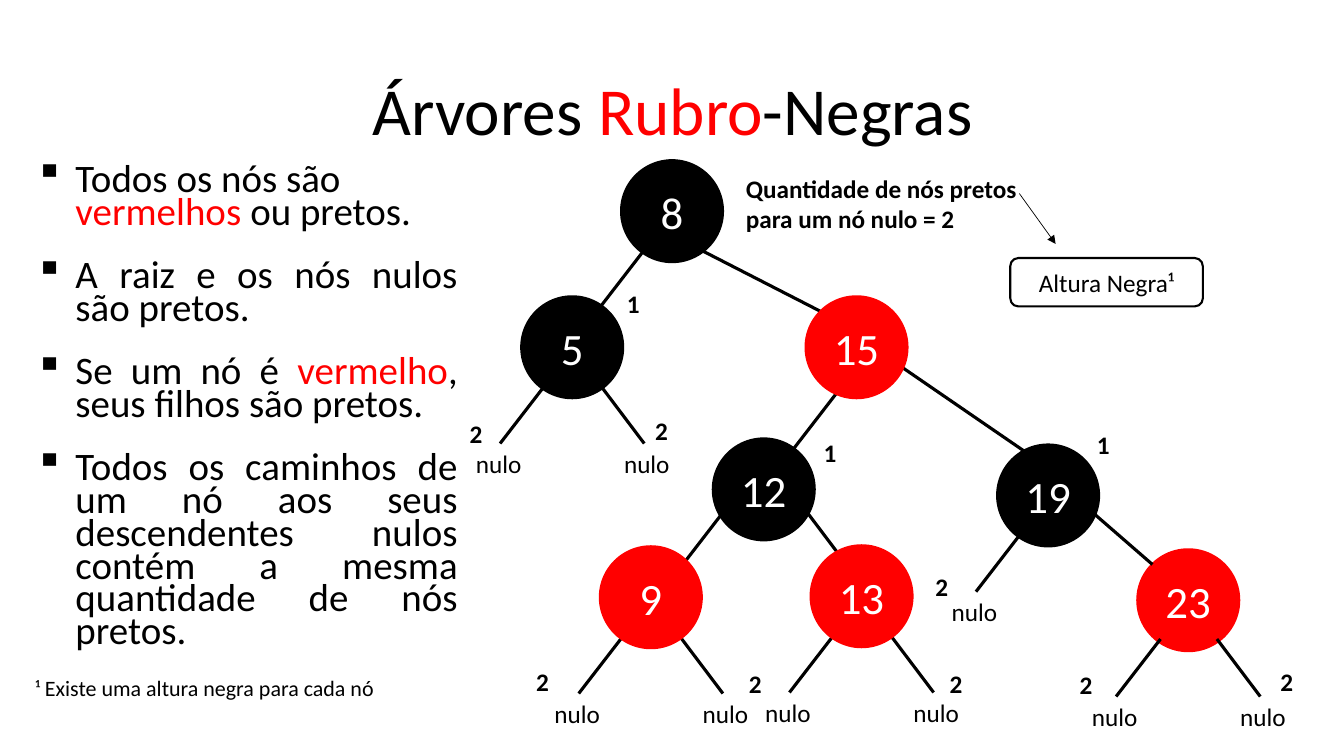
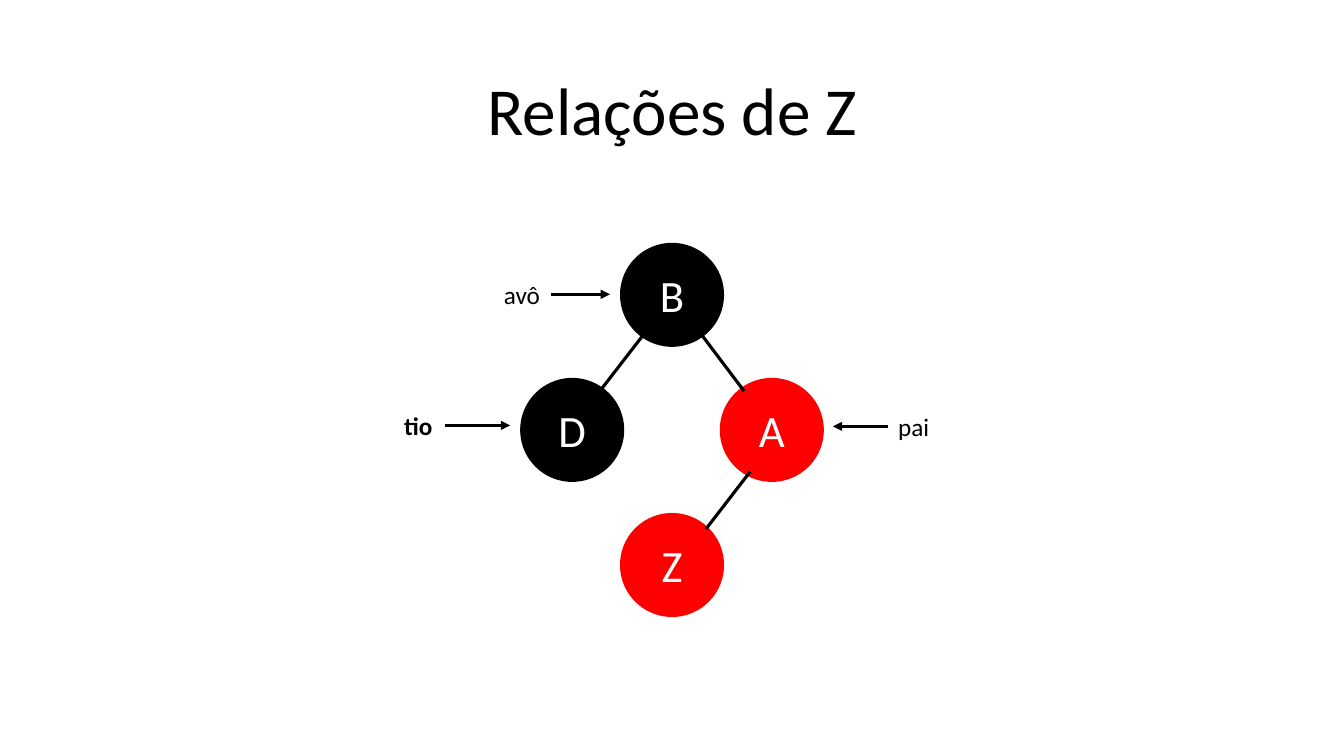
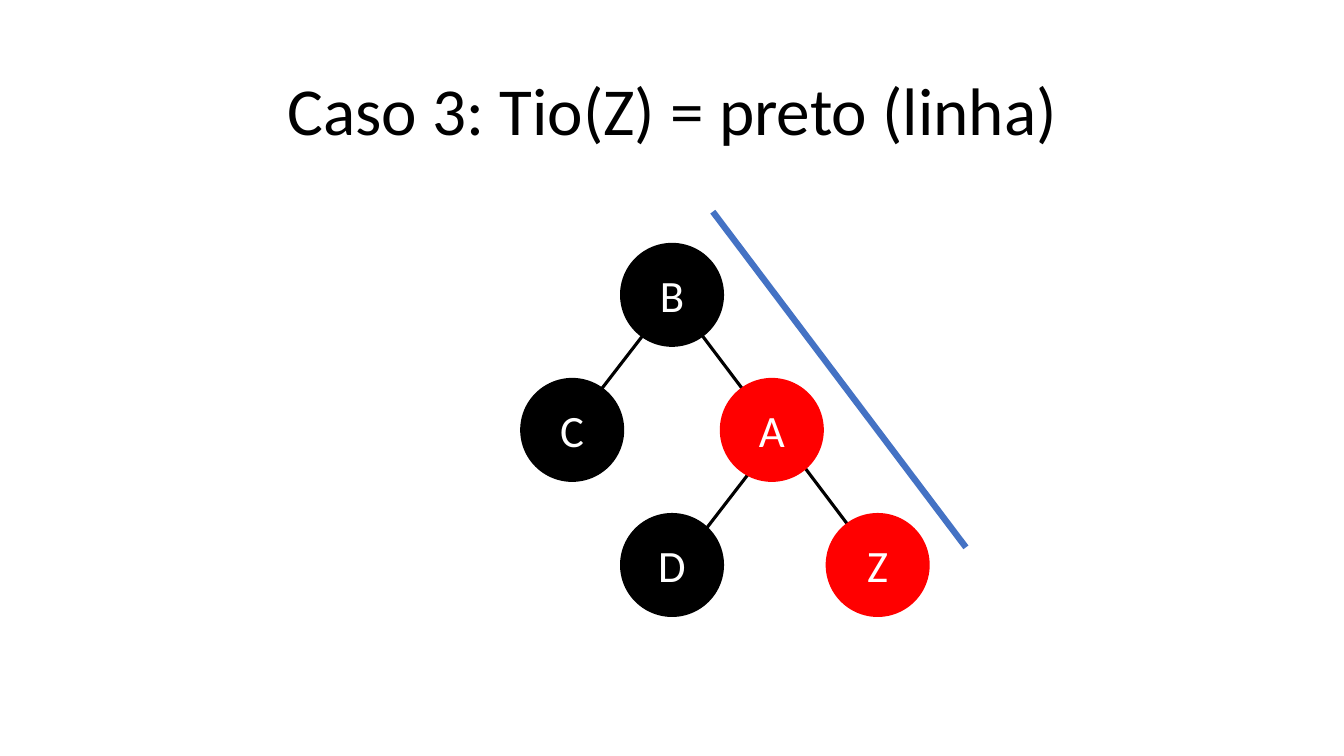
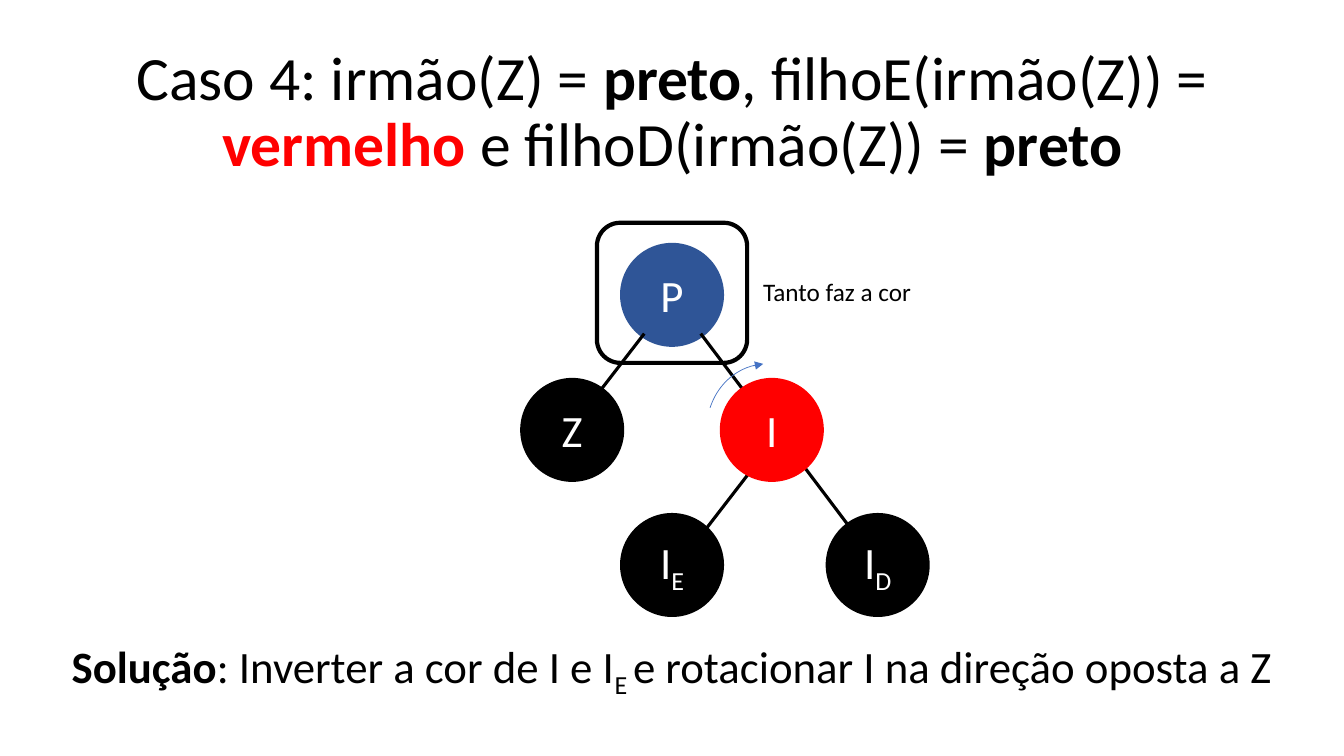
from dataclasses import dataclass

from lxml.etree import SubElement
from pptx import Presentation
from pptx.dml.color import RGBColor
from pptx.enum.shapes import MSO_CONNECTOR, MSO_SHAPE
from pptx.enum.text import MSO_ANCHOR, PP_ALIGN
from pptx.oxml.ns import qn
from pptx.shapes.autoshape import Shape
from pptx.shapes.connector import Connector
from pptx.slide import Slide
from pptx.text.text import TextFrame, _Paragraph
from pptx.util import Inches, Pt

FONT = "Calibri"
BLACK, RED, WHITE = "000000", "FF0000", "FFFFFF"
BLUE, NAVY = "4472C4", "2F5597"
LEFT, CENTER, JUST = PP_ALIGN.LEFT, PP_ALIGN.CENTER, PP_ALIGN.JUSTIFY
SIZE = 0.99  # node diameter
FALL = 0.57  # height of a short edge
RUN = {"l": -0.44, "r": 0.43}  # sideways reach of a short edge
EXIT = {"l": 0.22, "r": 0.78}  # where a short edge leaves its node
NULL = {"l": -0.58, "r": 0.89}  # where the label of a null child sits


@dataclass(frozen=True)
class Span:
    """A stretch of text in one format; size 0 means that of the text."""
    text: str
    color: str = BLACK
    bold: bool = False
    size: float = 0
    base: int = 0


@dataclass(frozen=True)
class Node:
    x: float
    y: float
    key: str
    color: str = BLACK
    sub: str = ""


@dataclass(frozen=True)
class Edge:
    x1: float
    y1: float
    x2: float
    y2: float


@dataclass(frozen=True)
class Tag:
    """A relation's name and the arrow that leaves its box."""
    text: str
    x: float
    y: float
    width: float
    side: int
    tip: float
    bold: bool = False


def rgb(color: str) -> RGBColor:
    return RGBColor.from_string(color)


def write(par: _Paragraph, spans: list[Span], size: float,
          align: PP_ALIGN = LEFT) -> None:
    par.alignment = align
    for span in spans:
        run = par.add_run()
        run.text = span.text
        font = run.font
        font.name, font.bold = FONT, span.bold
        font.size = Pt(span.size or size)
        font.color.rgb = rgb(span.color)
        if span.base:
            run._r.get_or_add_rPr().set("baseline", str(span.base * 1000))


def add_box(slide: Slide, x: float, y: float, w: float, h: float) -> Shape:
    box = slide.shapes.add_textbox(Inches(x), Inches(y), Inches(w), Inches(h))
    box.text_frame.word_wrap = True
    return box


def label(slide: Slide, text: str, x: float, y: float, w: float, h: float = 0.4,
          bold: bool = False, align: PP_ALIGN = LEFT) -> Shape:
    box = add_box(slide, x, y, w, h)
    write(box.text_frame.paragraphs[0], [Span(text, bold=bold)], 18, align)
    return box


def banner(slide: Slide, spans: list[Span], size: float,
           y: float, x: float, w: float, h: float) -> None:
    """Centred text, used for titles and for the solution."""
    frame = add_box(slide, x, y, w, h).text_frame
    frame.vertical_anchor = MSO_ANCHOR.MIDDLE
    par = frame.paragraphs[0]
    par.line_spacing = 0.9
    write(par, spans, size, CENTER)


def outline(slide: Slide, kind: MSO_SHAPE, x: float, y: float, w: float,
            h: float, color: str, width: float) -> Shape:
    """A preset shape with a line and no fill."""
    shape = slide.shapes.add_shape(
        kind, Inches(x), Inches(y), Inches(w), Inches(h))
    shape.shadow.inherit = False
    shape.fill.background()
    shape.line.color.rgb = rgb(color)
    shape.line.width = Pt(width)
    shape.text_frame.vertical_anchor = MSO_ANCHOR.MIDDLE
    return shape


def draw(slide: Slide, nodes: list[Node]) -> None:
    for node in nodes:
        shape = outline(slide, MSO_SHAPE.OVAL, node.x, node.y, SIZE, SIZE,
                        node.color, 3)
        shape.fill.solid()
        shape.fill.fore_color.rgb = rgb(node.color)
        spans = [Span(node.key, WHITE)]
        if node.sub:
            spans.append(Span(node.sub, WHITE, base=-25))
        write(shape.text_frame.paragraphs[0], spans, 32, CENTER)


def join(slide: Slide, edge: Edge, color: str = BLACK, width: float = 2.25,
         arrow: bool = False) -> Connector:
    line = slide.shapes.add_connector(
        MSO_CONNECTOR.STRAIGHT, Inches(edge.x1), Inches(edge.y1),
        Inches(edge.x2), Inches(edge.y2))
    line.line.color.rgb = rgb(color)
    line.line.width = Pt(width)
    if arrow:
        SubElement(line.line._get_or_add_ln(), qn("a:tailEnd"), type="triangle")
    SubElement(line._element.spPr, qn("a:effectLst"))
    return line


def slant(x: float, y: float, side: str) -> Edge:
    """A short edge that falls to one side."""
    return Edge(x, y, x + RUN[side], y + FALL)


def leg(node: Node, side: str) -> Edge:
    return slant(node.x + EXIT[side], node.y + 0.88, side)


def bullet(par: _Paragraph) -> None:
    props = par._p.get_or_add_pPr()
    props.set("marL", str(Inches(0.4)))
    props.set("indent", str(Inches(-0.4)))
    SubElement(props, qn("a:buChar"), char="▪")


def rules(frame: TextFrame) -> None:
    """The properties of the tree, and a footnote."""
    items = [
        [Span("Todos os nós são "), Span("vermelhos", RED),
         Span(" ou pretos.")],
        [Span("A raiz e os nós nulos são pretos.")],
        [Span("Se um nó é "), Span("vermelho", RED),
         Span(", seus filhos são pretos.")],
        [Span("Todos os caminhos de um nó aos seus descendentes nulos "
              "contém a mesma quantidade de nós pretos.")],
        [Span("¹ ", size=14.8),
         Span("Existe uma altura negra para cada nó", size=15.7)],
    ]
    for i, spans in enumerate(items):
        par = frame.add_paragraph() if i else frame.paragraphs[0]
        write(par, spans, 27.8, JUST if i else LEFT)
        par.line_spacing = 0.7
        par.space_before, par.space_after = Pt(10), Pt(12)
        if i < len(items) - 1:
            bullet(par)


def intro(slide: Slide) -> None:
    n8, n5 = Node(6.17, 1.6, "8"), Node(5.18, 2.95, "5")
    n15, n12 = Node(8, 2.95, "15", RED), Node(7.08, 4.36, "12")
    n19, n23 = Node(9.9, 4.42, "19"), Node(11.29, 5.46, "23", RED)
    n9, n13 = Node(5.96, 5.43, "9", RED), Node(8.05, 5.42, "13", RED)
    draw(slide, [n23])
    edges = [
        leg(n8, "l"), Edge(6.95, 2.48, 8.14, 3.09),
        slant(8.29, 3.91, "l"), Edge(8.14, 3.09, 10.15, 4.47),
        slant(7.22, 5.02, "l"), slant(7.95, 5.01, "r"),
        Edge(10.13, 4.47, 11.43, 5.6),
    ]
    for edge in edges:
        join(slide, edge)
    for node, sides in ((n5, "lr"), (n9, "lr"), (n13, "lr"), (n23, "lr"),
                        (n19, "l")):
        for side in sides:
            join(slide, leg(node, side))
            label(slide, "nulo", node.x + NULL[side], node.y + 1.45, 0.69,
                  align=CENTER)
    draw(slide, [n8, n5, n15, n12, n19, n13, n9])

    rules(add_box(slide, 0.25, 1.6, 4.39, 5.66).text_frame)
    label(slide, "Quantidade de nós pretos para um nó nulo = 2",
          7.3, 1.67, 2.91, 0.71, bold=True)
    counts = {
        "1": [(6.12, 2.81), (8.07, 4.29), (10.78, 4.21)],
        "2": [(4.56, 4.1), (6.4, 4.07), (5.22, 6.56), (7.33, 6.58),
              (9.32, 6.58), (9.18, 5.62), (10.61, 6.59), (12.6, 6.56)],
    }
    for text, spots in counts.items():
        for x, y in spots:
            label(slide, text, x, y, 0.34, bold=True)
    join(slide, Edge(10.11, 1.92, 10.47, 2.42), width=0.5, arrow=True)
    box = outline(slide, MSO_SHAPE.FLOWCHART_ALTERNATE_PROCESS,
                  10.02, 2.56, 1.91, 0.48, BLACK, 1.5)
    write(box.text_frame.paragraphs[0], [Span("Altura Negra¹")], 18, CENTER)


def family(keys: str, colors: list[str], subs: str = "") -> list[Node]:
    """Root, its two children, then the right child's children."""
    spots = [(6.17, 2.43), (5.18, 3.77), (7.16, 3.77), (6.17, 5.11),
             (8.21, 5.11)]
    marks = [""] * (len(keys) - len(subs)) + list(subs)
    return [Node(x, y, key, color, mark) for (x, y), key, color, mark
            in zip(spots, keys, colors, marks)]


def tree(slide: Slide, nodes: list[Node], under: int) -> None:
    """Draw the first nodes under the edges and the others above."""
    draw(slide, nodes[:under])
    edges = [leg(nodes[0], "r"), leg(nodes[0], "l"), slant(7.44, 4.68, "l"),
             slant(7.99, 4.65, "r")]
    for edge in edges[:len(nodes) - 1]:
        join(slide, edge)
    draw(slide, nodes[under:])


def kin(slide: Slide) -> None:
    tree(slide, family("BDAZ", [BLACK, BLACK, RED, RED]), 4)
    tags = [
        Tag("pai", 8.81, 4.03, 1.02, 1, 8.26),
        Tag("avô", 4.9, 2.72, 0.57, 3, 6.05),
        Tag("tio", 3.91, 4.02, 0.5, 3, 5.06, True),
    ]
    for tag in tags:
        box = label(slide, tag.text, tag.x, tag.y, tag.width, bold=tag.bold)
        mid = tag.y + 0.2
        start = tag.x if tag.side == 1 else tag.x + tag.width
        line = join(slide, Edge(start, mid, tag.tip, mid), arrow=True)
        line.begin_connect(box, tag.side)


def third(slide: Slide) -> None:
    tree(slide, family("BCADZ", [BLACK, BLACK, RED, BLACK, RED]), 2)
    join(slide, Edge(7.07, 2.1, 9.58, 5.43), BLUE, 4.5)


def fourth(slide: Slide) -> None:
    tree(slide, family("PZIII", [NAVY, BLACK, RED, BLACK, BLACK], "ED"), 2)
    outline(slide, MSO_SHAPE.FLOWCHART_ALTERNATE_PROCESS,
            5.92, 2.21, 1.49, 1.39, BLACK, 3)
    label(slide, "Tanto faz a cor", 7.47, 2.69, 3.38)
    banner(slide, [
        Span("Solução", bold=True), Span(": Inverter a cor de I e I"),
        Span("E ", base=-25), Span("e rotacionar I na direção oposta a Z"),
    ], 32, 5.71, 0, 13.33, 1.81)
    arc = outline(slide, MSO_SHAPE.ARC, 7.01, 3.61, 1.2, 1.3, BLUE, 0.5)
    arc.adjustments[0], arc.adjustments[1] = 120.39, 155.87
    join(slide, Edge(7.47, 3.63, 7.57, 3.61), BLUE, 0.5, arrow=True)


def main() -> None:
    deck = Presentation()
    deck.slide_width, deck.slide_height = Inches(13.33), Inches(7.5)
    pages = [
        (intro, 48, [Span("Árvores "), Span("Rubro", RED), Span("-Negras")]),
        (kin, 48, [Span("Relações de Z")]),
        (third, 48, [Span("Caso 3: Tio(Z) = preto (linha)")]),
        (fourth, 44, [
            Span("Caso 4: irmão(Z) = "), Span("preto", bold=True),
            Span(", filhoE(irmão(Z)) = "), Span("vermelho ", RED, True),
            Span("e filhoD(irmão(Z)) = "), Span("preto", bold=True)]),
    ]
    for fill, size, title in pages:
        slide = deck.slides.add_slide(deck.slide_layouts[6])
        banner(slide, title, size, 0.4, 0.92, 11.5, 1.45)
        fill(slide)
    deck.save("out.pptx")


if __name__ == "__main__":
    main()
